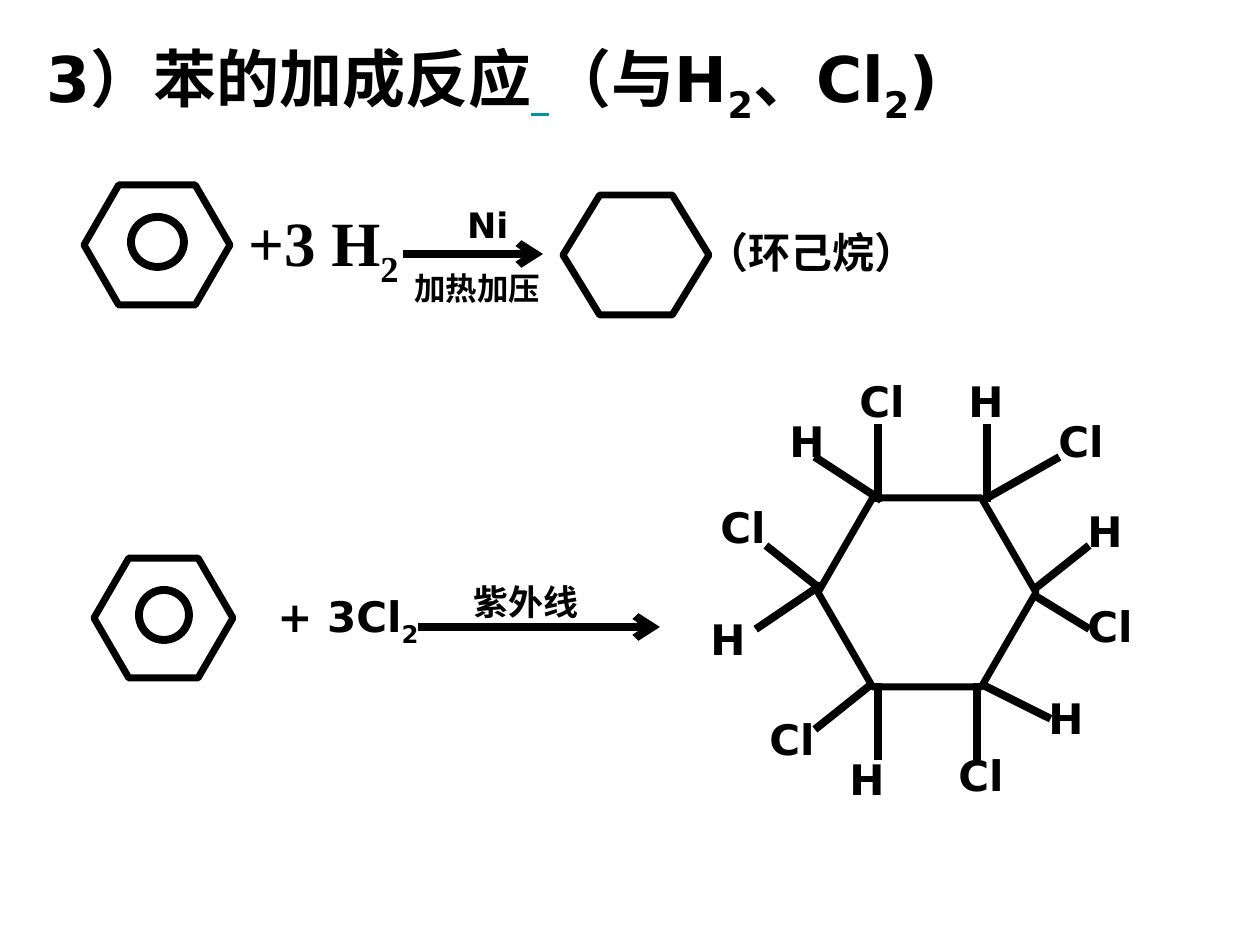
"""Build a slide on the addition reactions of benzene with H2 and Cl2."""
from lxml.etree import SubElement
from pptx import Presentation
from pptx.dml.color import RGBColor
from pptx.enum.shapes import MSO_CONNECTOR, MSO_SHAPE
from pptx.enum.text import MSO_ANCHOR, MSO_AUTO_SIZE, PP_ALIGN
from pptx.oxml.ns import qn
from pptx.util import Emu, Pt

COLORS = {"ink": "000000", "accent": "009999"}
SANS, CJK, SERIF = "DejaVu Sans", "Noto Sans CJK SC", "Times New Roman"
LEFT, RIGHT = PP_ALIGN.LEFT, PP_ALIGN.RIGHT

TITLE_BOX = (34, 16, 1142, 120)
TITLE = [("3）苯的加成反应", {}), (" ", {"size": 44, "color": "accent", "underline": True}),
         ("（与H", {}), ("2", {"sub": True}), ("、Cl", {}), ("2", {"sub": True}), (")", {})]

HEXAGONS = [
    ((84, 185, 146, 120), 0.289),
    ((563, 195, 146, 120), 0.306),
    ((94, 558, 139, 120), 0.291),
    ((818, 498, 218, 189), 0.289),
]
RINGS = [(131, 217, 53, 50), (139, 590, 50, 50)]
ARROWS = [((407, 254), (543, 254)), ((422, 627), (660, 627))]

LABELS = [
    ((203, 185, 208, 123), RIGHT, SERIF, 36, ["+3 H", "2"]),
    ((418, 185, 103, 79), RIGHT, SANS, 20, ["Ni"]),
    ((402, 263, 159, 50), LEFT, CJK, 18, ["加热加压"]),
    ((694, 190, 372, 123), LEFT, SANS, 24, ["（环己烷）"]),
    ((233, 558, 198, 123), RIGHT, SANS, 24, ["+ 3Cl", "2"]),
    ((461, 562, 169, 79), LEFT, SANS, 20, ["紫外线"]),
]

ATOM_SIZE = (128, 123)
ATOMS = [
    ("Cl", (789, 339), (878, 498), (878, 428)),
    ("H", (709, 379), (878, 498), (818, 459)),
    ("H", (888, 339), (987, 498), (987, 428)),
    ("Cl", (988, 379), (987, 498), (1056, 459)),
    ("H", (1007, 469), (1037, 587), (1086, 548)),
    ("Cl", (1017, 564), (1037, 597), (1086, 627)),
    ("H", (968, 656), (987, 687), (1047, 717)),
    ("Cl", (888, 713), (977, 687), (977, 756)),
    ("H", (769, 717), (878, 687), (878, 756)),
    ("Cl", (699, 677), (868, 687), (818, 727)),
    ("H", (630, 577), (818, 587), (759, 627)),
    ("Cl", (650, 465), (818, 587), (769, 548)),
]


def px(*values):
    return [Emu(round(v * 914400 / 126)) for v in values]


def add_run(p, text, font, size, color="ink", sub=False, underline=None):
    r = p.add_run()
    r.text = text
    r.font.name, r.font.size, r.font.bold = font, Pt(size), True
    r.font.color.rgb = RGBColor.from_string(COLORS[color])
    r.font.underline = underline
    props = r.font._element
    SubElement(props, qn("a:ea")).set("typeface", CJK)
    if sub:
        props.set("baseline", "-25000")


def frame(tf, align, anchor=MSO_ANCHOR.MIDDLE):
    tf.word_wrap = True
    tf.auto_size = MSO_AUTO_SIZE.NONE
    tf.vertical_anchor = anchor
    tf.paragraphs[0].alignment = align
    return tf.paragraphs[0]


def add_label(s, box, align, font, size, parts):
    tf = s.shapes.add_textbox(*px(*box)).text_frame
    p = frame(tf, align, MSO_ANCHOR.TOP if font == CJK else MSO_ANCHOR.MIDDLE)
    for i, text in enumerate(parts):
        add_run(p, text, font, size, sub=i > 0)


def ink_line(sp, width):
    sp.line.color.rgb = RGBColor.from_string(COLORS["ink"])
    sp.line.width = Pt(width)


def add_outline(s, kind, box, width):
    sp = s.shapes.add_shape(kind, *px(*box))
    sp.shadow.inherit = False
    sp.fill.background()
    ink_line(sp, width)
    return sp


def add_line(s, start, end, arrow=False):
    sp = s.shapes.add_connector(MSO_CONNECTOR.STRAIGHT, *px(*start, *end))
    ink_line(sp, 4.5)
    ln = sp.line._get_or_add_ln()
    ln.set("cap", "sq")
    if arrow:
        SubElement(ln, qn("a:tailEnd")).set("type", "arrow")
    SubElement(sp._element.spPr, qn("a:effectLst"))


def main():
    prs = Presentation()
    prs.slide_width, prs.slide_height = px(1260, 945)
    s = prs.slides.add_slide(prs.slide_layouts[5])

    title = s.shapes.title
    title.left, title.top, title.width, title.height = px(*TITLE_BOX)
    p = frame(title.text_frame, LEFT)
    for text, style in TITLE:
        add_run(p, text, SANS, **{"size": 36, **style})

    for box, adj in HEXAGONS:
        add_outline(s, MSO_SHAPE.HEXAGON, box, 4).adjustments[0] = adj
    for box in RINGS:
        add_outline(s, MSO_SHAPE.OVAL, box, 4.5)
    for label in LABELS:
        add_label(s, *label)
    for start, end in ARROWS:
        add_line(s, start, end, arrow=True)
    for atom, corner, start, end in ATOMS:
        add_label(s, corner + ATOM_SIZE, RIGHT, SANS, 24, [atom])
        add_line(s, start, end)

    prs.save("out.pptx")


if __name__ == "__main__":
    main()
